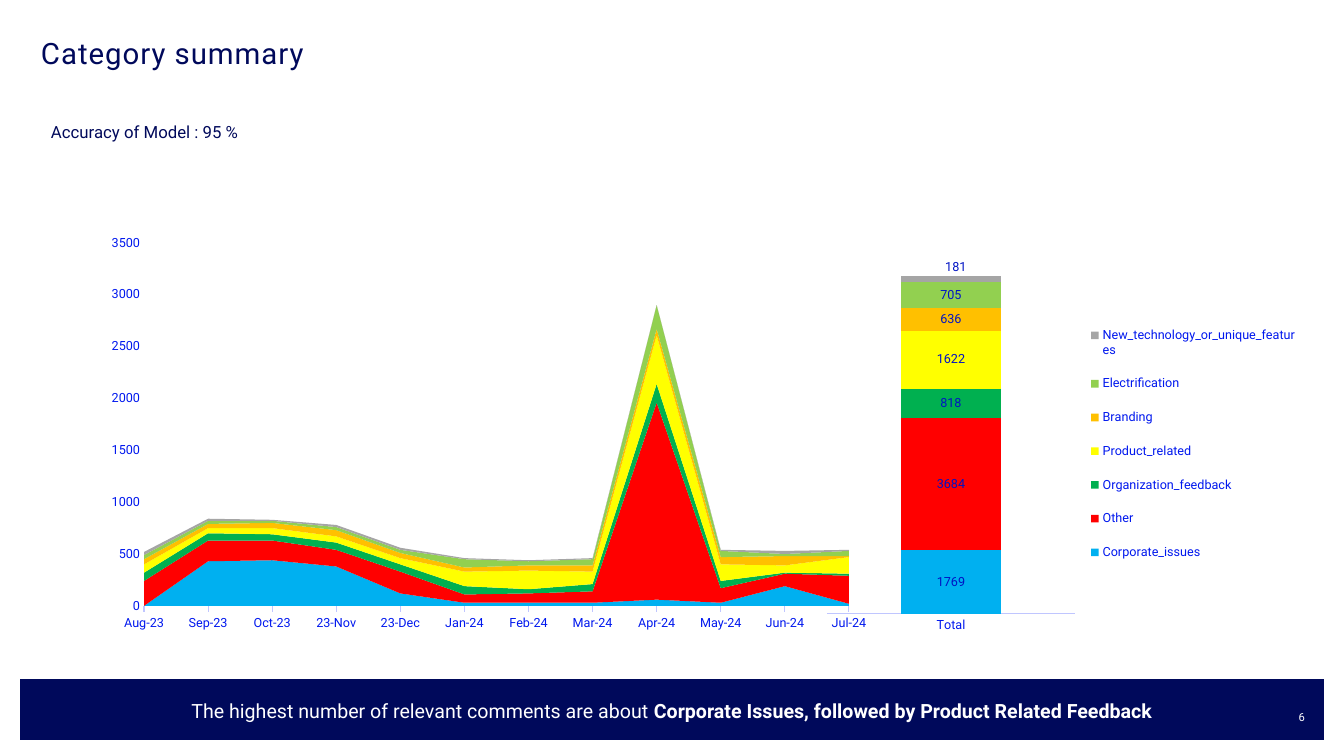
from lxml import etree
from pptx import Presentation
from pptx.chart.data import CategoryChartData
from pptx.dml.color import RGBColor
from pptx.enum.chart import XL_CHART_TYPE, XL_LABEL_POSITION, XL_LEGEND_POSITION, XL_TICK_MARK
from pptx.enum.shapes import MSO_SHAPE
from pptx.enum.text import MSO_ANCHOR, MSO_AUTO_SIZE, PP_ALIGN
from pptx.oxml.ns import qn
from pptx.util import Emu, Pt

# Content
TITLE = "Category summary"
ACCURACY = "Accuracy of Model : 95 %"
TAKEAWAY = [("The highest number of relevant comments are about ", False),
            ("Corporate Issues, followed by Product Related Feedback", True)]
PAGE = "6"
MONTHS = ["Aug-23", "Sep-23", "Oct-23", "23-Nov", "23-Dec", "Jan-24",
          "Feb-24", "Mar-24", "Apr-24", "May-24", "Jun-24", "Jul-24"]
# category, total, colour, monthly comments
CATEGORIES = [
    ("Corporate_issues", 1769, RGBColor(0x00, 0xB0, 0xF0),
     [0, 430, 440, 380, 120, 30, 30, 30, 60, 30, 190, 20]),
    ("Other", 3684, RGBColor(0xFF, 0x00, 0x00),
     [240, 200, 190, 160, 210, 80, 90, 110, 1900, 140, 120, 270]),
    ("Organization_feedback", 818, RGBColor(0x00, 0xB0, 0x50),
     [80, 70, 60, 70, 70, 80, 40, 70, 180, 70, 10, 20]),
    ("Product_related", 1622, RGBColor(0xFF, 0xFF, 0x00),
     [80, 50, 60, 60, 60, 140, 180, 120, 470, 160, 70, 160]),
    ("Branding", 636, RGBColor(0xFF, 0xC0, 0x00),
     [50, 40, 50, 60, 50, 40, 50, 60, 60, 70, 90, 10]),
    ("Electrification", 705, RGBColor(0x92, 0xD0, 0x50),
     [40, 30, 20, 30, 30, 80, 40, 60, 230, 60, 20, 50]),
    ("New_technology_or_unique_features", 181, RGBColor(0xA5, 0xA5, 0xA5),
     [30, 20, 10, 20, 20, 10, 10, 10, 0, 10, 30, 10]),
]

FONT = "Roboto"
NAVY = RGBColor(0x00, 0x09, 0x5B)
WHITE = RGBColor(0xFF, 0xFF, 0xFF)
AXIS_TEXT = RGBColor(0x00, 0x18, 0xEE)
AXIS_LINE = RGBColor(0xC0, 0xC6, 0xFF)
LABEL_TEXT = RGBColor(0x00, 0x13, 0xC4)

# Boxes in px: left, top, width, height
SLIDE_W, SLIDE_H = 1344, 756
TITLE_BOX = (41, 34, 1159, 76)
ACCURACY_BOX = (41, 117, 223, 30)
BAND_BOX = (20, 679, 1304, 61)
TAKEAWAY_BOX = (20, 693, 1304, 32)
PAGE_BOX = (1270, 705, 35, 40)
TOTAL_BOX = (816, 248, 489, 392)
TOTAL_PLOT = (827, 255, 248, 359)
LEGEND_BOX = (1088, 309, 210, 270)
MONTH_BOX = (97, 228, 785, 411)
MONTH_PLOT = (144, 243, 705, 363)


def px(n):
    return Emu(round(n * 914400 / 100.8))


def style(font, size, color, bold=False):
    font.name, font.size, font.bold = FONT, Pt(size), bold
    font.color.rgb = color


def write(sp, runs, box, size=12, color=NAVY, align=PP_ALIGN.LEFT, anchor=MSO_ANCHOR.TOP,
          line=None, before=0, insets=(10, 5, 10, 5), spacing=None, wrap=True):
    sp.left, sp.top, sp.width, sp.height = map(px, box)
    tf = sp.text_frame
    tf.auto_size, tf.word_wrap, tf.vertical_anchor = MSO_AUTO_SIZE.NONE, wrap, anchor
    tf.margin_left, tf.margin_top, tf.margin_right, tf.margin_bottom = map(px, insets)
    p = tf.paragraphs[0]
    p.alignment, p.line_spacing, p.space_before = align, line, Pt(before)
    for text, bold in runs:
        r = p.add_run()
        r.text = text
        style(r.font, size, color, bold)
        if spacing:
            r.font._element.set("spc", str(spacing))
    return p


def manual_layout(parent, index, **values):
    for old in parent.findall(qn("c:layout")):
        parent.remove(old)
    layout = etree.Element(qn("c:layout"))
    manual = etree.SubElement(layout, qn("c:manualLayout"))
    for tag, value in values.items():
        etree.SubElement(manual, qn("c:" + tag)).set("val", str(value))
    parent.insert(index, layout)


def inside(box, chart_box):
    left, top, w, h = chart_box
    return dict(xMode="edge", yMode="edge",
                x=round((box[0] - left) / w, 4), y=round((box[1] - top) / h, 4),
                w=round(box[2] / w, 4), h=round(box[3] / h, 4))


def add_chart(slide, kind, cats, series, box, plot_box, top_value, tick):
    data = CategoryChartData()
    data.categories = cats
    for name, values in series:
        data.add_series(name, values)
    chart = slide.shapes.add_chart(kind, *map(px, box), data).chart
    chart.has_title = chart.has_legend = False
    style(chart.font, 10, NAVY)
    for s, (_, _, color, _) in zip(chart.plots[0].series, CATEGORIES):
        s.format.fill.solid()
        s.format.fill.fore_color.rgb = color
    cat_axis, val_axis = chart.category_axis, chart.value_axis
    for axis in (cat_axis, val_axis):
        axis.has_major_gridlines = False
        axis.minor_tick_mark = XL_TICK_MARK.NONE
        style(axis.tick_labels.font, 9, AXIS_TEXT)
    cat_axis.major_tick_mark = tick
    cat_axis.format.line.color.rgb = AXIS_LINE
    cat_axis.format.line.width = Pt(0.75)
    val_axis.major_tick_mark = XL_TICK_MARK.NONE
    val_axis.format.line.fill.background()
    val_axis.minimum_scale, val_axis.maximum_scale = 0, top_value
    area = chart._chartSpace.find(".//" + qn("c:plotArea"))
    manual_layout(area, 0, layoutTarget="inner", **inside(plot_box, box))
    return chart


prs = Presentation()
prs.slide_width, prs.slide_height = px(SLIDE_W), px(SLIDE_H)
slide = prs.slides.add_slide(prs.slide_layouts[1])

# Footer band, behind everything
band = slide.shapes.add_shape(MSO_SHAPE.RECTANGLE, *map(px, BAND_BOX))
band.shadow.inherit = False
band.fill.solid()
band.fill.fore_color.rgb = NAVY
band.line.fill.background()
slide.shapes._spTree.insert(2, band._element)

# Title, takeaway and page number
write(slide.shapes.title, [(TITLE, False)], TITLE_BOX, size=21, line=0.9,
      insets=(0, 5, 10, 5), spacing=70)
p = write(slide.placeholders[1], TAKEAWAY, TAKEAWAY_BOX, size=14, color=WHITE,
          align=PP_ALIGN.CENTER, anchor=MSO_ANCHOR.MIDDLE, line=1.1, before=12)
pPr = p._p.get_or_add_pPr()
pPr.set("marL", "0")
pPr.set("indent", "0")
etree.SubElement(pPr, qn("a:buNone"))
write(slide.shapes.add_textbox(0, 0, 0, 0), [(PAGE, False)], PAGE_BOX, size=8,
      color=WHITE, align=PP_ALIGN.RIGHT, insets=(0, 5, 0, 5))

# Totals column with labels and legend
chart = add_chart(slide, XL_CHART_TYPE.COLUMN_STACKED, ["Total"],
                  [(name, [total]) for name, total, _, _ in CATEGORIES],
                  TOTAL_BOX, TOTAL_PLOT, 10000, XL_TICK_MARK.NONE)
chart.value_axis.visible = False
plot = chart.plots[0]
plot.gap_width, plot.overlap, plot.vary_by_categories = 150, 100, False
for s in plot.series:
    labels = s.data_labels
    labels.show_value = True
    labels.position = XL_LABEL_POSITION.CENTER
    style(labels.font, 9, LABEL_TEXT)
top_label = plot.series[-1].points[0].data_label
top_label.position = XL_LABEL_POSITION.CENTER
style(top_label.font, 9, LABEL_TEXT)
manual_layout(chart._chartSpace.find(".//" + qn("c:dLbl")), 1, x=0.01, y=-0.03)
chart.has_legend = True
legend = chart.legend
legend.position, legend.include_in_layout = XL_LEGEND_POSITION.RIGHT, False
style(legend.font, 9, AXIS_TEXT)
manual_layout(legend._element, 1, **inside(LEGEND_BOX, TOTAL_BOX))

# Monthly comments by category
chart = add_chart(slide, XL_CHART_TYPE.AREA_STACKED, MONTHS,
                  [(f"Series {i}", c[3]) for i, c in enumerate(CATEGORIES, 1)],
                  MONTH_BOX, MONTH_PLOT, 3500, XL_TICK_MARK.OUTSIDE)
chart.value_axis.major_unit = 500
chart.value_axis.tick_labels.number_format = "0"
chart.value_axis.tick_labels.number_format_is_linked = False
chart._chartSpace.find(".//" + qn("c:crossBetween")).set("val", "midCat")

# Model accuracy
write(slide.shapes.add_textbox(0, 0, 0, 0), [(ACCURACY, False)], ACCURACY_BOX)

prs.save("out.pptx")
